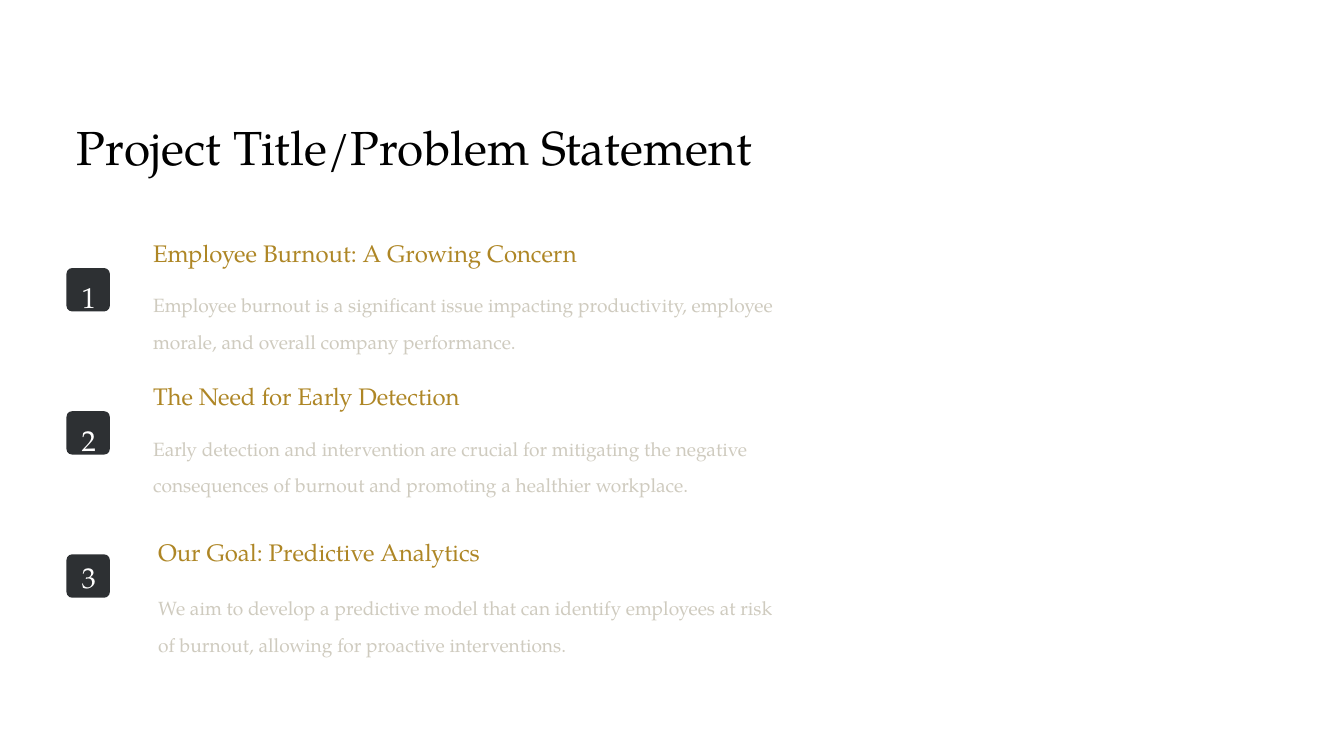
from dataclasses import dataclass

from pptx import Presentation
from pptx.dml.color import RGBColor
from pptx.enum.shapes import MSO_SHAPE
from pptx.enum.text import MSO_ANCHOR, MSO_AUTO_SIZE, PP_ALIGN
from pptx.util import Pt

TITLE = "Project Title/Problem Statement"
# number, number top, heading, body, text left, heading top, heading width, body top
POINTS = [
    ("1", 273, "Employee Burnout: A Growing Concern",
     "Employee burnout is a significant issue impacting productivity, "
     "employee morale, and overall company performance.",
     142, 225, 452, 273),
    ("2", 415, "The Need for Early Detection",
     "Early detection and intervention are crucial for mitigating the negative "
     "consequences of burnout and promoting a healthier workplace.",
     142, 367, 334, 415),
    ("3", 550, "Our Goal: Predictive Analytics",
     "We aim to develop a predictive model that can identify employees "
     "at risk of burnout, allowing for proactive interventions.",
     147, 521, 342, 573),
]


@dataclass(frozen=True)
class Style:
    size: float
    leading: float
    color: str
    align: PP_ALIGN = PP_ALIGN.LEFT
    wrap: bool = True


@dataclass(frozen=True)
class Theme:
    font: str = "TeX Gyre Pagella"
    badge: str = "2D3033"
    title: Style = Style(34.1, 51.2, "000000")
    number: Style = Style(20.5, 24.6, "FFFFFF", PP_ALIGN.CENTER, False)
    heading: Style = Style(17.1, 25.6, "AE8625", wrap=False)
    body: Style = Style(13.7, 26.2, "CFCBBF")


THEME = Theme()
EMU_PER_PX = 9144  # 100 px to the inch
SLIDE_SIZE = (1333, 750)
TITLE_BOX = (66, 98, 700, 119)
BADGE_LEFT, BADGE_TOP, BADGE_SIZE, BADGE_STEP = 66, 266, 43, 142
BADGE_ROUNDING = 0.13
NUMBER_WIDTH, NUMBER_HEIGHT = 18, 28
HEADING_HEIGHT = 30
BODY_WIDTH, BODY_HEIGHT = 639, 61


def emu(*lengths):
    return [length * EMU_PER_PX for length in lengths]


def apply(target, values):
    for name, value in values.items():
        setattr(target, name, value)


def write(box, wording, style):
    frame = box.text_frame
    frame.text = wording
    apply(frame, {"word_wrap": style.wrap, "auto_size": MSO_AUTO_SIZE.NONE,
                  "vertical_anchor": MSO_ANCHOR.TOP})
    paragraph = frame.paragraphs[0]
    apply(paragraph, {"alignment": style.align, "line_spacing": Pt(style.leading),
                      "space_before": Pt(0)})
    font = paragraph.runs[0].font
    apply(font, {"name": THEME.font, "size": Pt(style.size)})
    font.color.rgb = RGBColor.from_string(style.color)


def add_text(slide, box, wording, style):
    write(slide.shapes.add_textbox(*emu(*box)), wording, style)


def add_badge(slide, top):
    badge = slide.shapes.add_shape(
        MSO_SHAPE.ROUNDED_RECTANGLE, *emu(BADGE_LEFT, top, BADGE_SIZE, BADGE_SIZE))
    badge.adjustments[0] = BADGE_ROUNDING
    badge.shadow.inherit = False
    badge.fill.solid()
    badge.fill.fore_color.rgb = RGBColor.from_string(THEME.badge)
    badge.line.fill.background()


def main():
    deck = Presentation()
    deck.slide_width, deck.slide_height = emu(*SLIDE_SIZE)
    slide = deck.slides.add_slide(deck.slide_layouts[5])
    title = slide.shapes.title
    apply(title, dict(zip(("left", "top", "width", "height"), emu(*TITLE_BOX))))
    write(title, TITLE, THEME.title)

    number_left = BADGE_LEFT + (BADGE_SIZE - NUMBER_WIDTH) // 2 + 1
    for row, point in enumerate(POINTS):
        number, number_top, heading, body, left, heading_top, heading_width, body_top = point
        add_badge(slide, BADGE_TOP + row * BADGE_STEP)
        add_text(slide, (number_left, number_top, NUMBER_WIDTH, NUMBER_HEIGHT),
                 number, THEME.number)
        add_text(slide, (left, heading_top, heading_width, HEADING_HEIGHT),
                 heading, THEME.heading)
        add_text(slide, (left, body_top, BODY_WIDTH, BODY_HEIGHT), body, THEME.body)
    deck.save("out.pptx")


if __name__ == "__main__":
    main()
